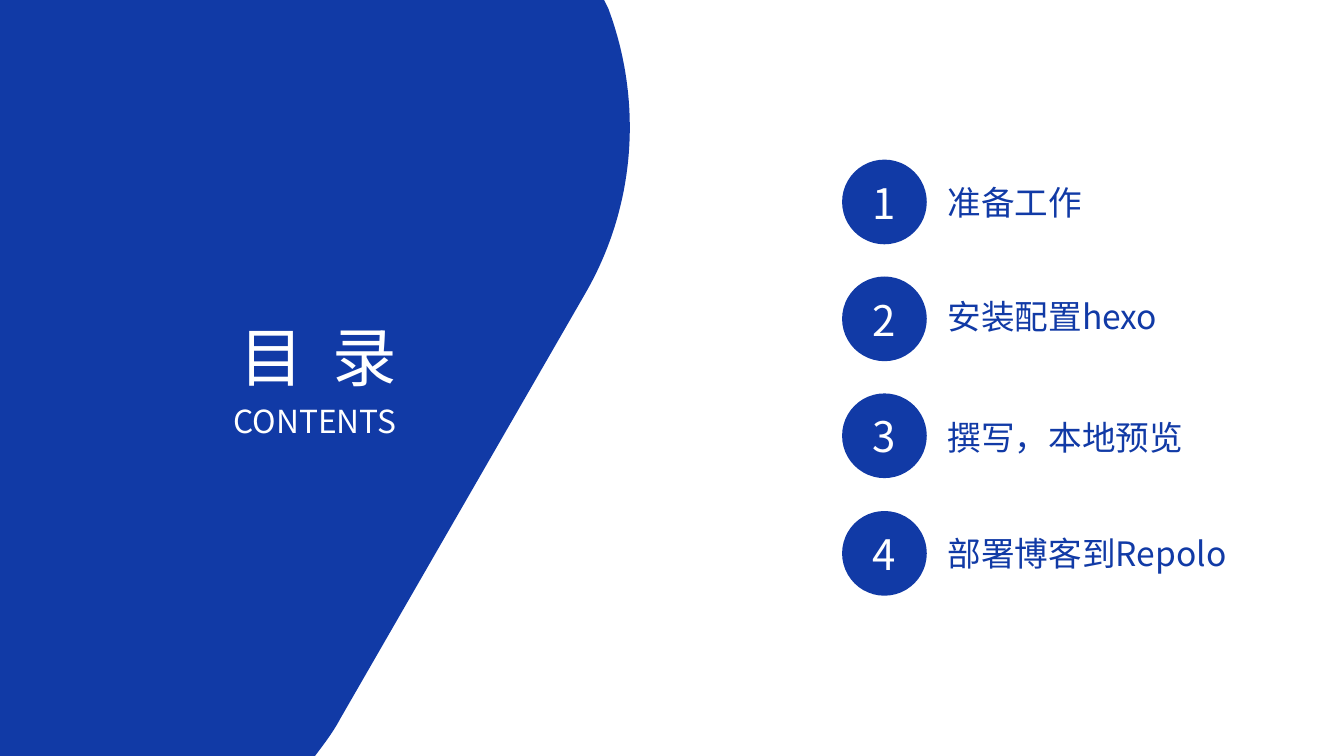
from dataclasses import dataclass

from lxml import etree
from pptx import Presentation
from pptx.dml.color import RGBColor
from pptx.enum.shapes import MSO_SHAPE
from pptx.enum.text import PP_ALIGN
from pptx.oxml.ns import qn
from pptx.shapes.autoshape import Shape
from pptx.slide import Slide
from pptx.util import Emu, Pt

OVAL = MSO_SHAPE.OVAL
LEFT, CENTER = PP_ALIGN.LEFT, PP_ALIGN.CENTER

EMU_PER_PX = 9525
SLIDE_WIDTH, SLIDE_HEIGHT = 1920, 1080
FONT = "Noto Sans CJK SC"
COLORS = {"blue": "113AA6", "white": "FFFFFF"}
LINE_HEIGHT = 1.2
CURVE_STEPS = 40

CIRCLE_LEFT, FIRST_CIRCLE_TOP, CIRCLE_SIZE = 1203, 228, 121
CIRCLES_SPAN = 502
NUMBER_INSET, NUMBER_DROP = 23, 25
ENTRY_LEFT = 1354

Point = tuple[float, float]


@dataclass(frozen=True)
class Caption:
    text: str
    left: int
    top: int
    width: int
    height: int
    size: int
    color: str
    align: PP_ALIGN = CENTER
    spacing: int = 0


@dataclass(frozen=True)
class Entry:
    title: str
    top: int


ENTRIES = [
    Entry("准备工作", 260),
    Entry("安装配置hexo", 423),
    Entry("撰写，本地预览", 595),
    Entry("部署博客到Repolo", 762),
]

HEADINGS = [
    Caption("CONTENTS", 274, 574, 352, 54, 34, "white"),
    Caption("目 录", 279, 453, 352, 109, 69, "white", spacing=770),
]


def px(length: float) -> Emu:
    return Emu(round(length * EMU_PER_PX))


def bezier(start: Point, pull_out: Point, pull_in: Point, end: Point) -> list[Point]:
    points = []
    for step in range(CURVE_STEPS + 1):
        t = step / CURVE_STEPS
        weights = ((1 - t) ** 3, 3 * t * (1 - t) ** 2, 3 * t * t * (1 - t), t ** 3)
        controls = (start, pull_out, pull_in, end)
        points.append((
            sum(w * x for w, (x, _) in zip(weights, controls)),
            sum(w * y for w, (_, y) in zip(weights, controls)),
        ))
    return points


def paint_blue(shape: Shape) -> None:
    shape.shadow.inherit = False
    shape.fill.solid()
    shape.fill.fore_color.rgb = RGBColor.from_string(COLORS["blue"])
    shape.line.fill.background()


def draw_panel(slide: Slide) -> None:
    outline = [
        (863, 0),
        *bezier((869, 12), (918, 143), (910, 294), (834, 423)),
        *bezier((486, 1027), (478, 1042), (468, 1056), (459, 1068)),
        (450, SLIDE_HEIGHT),
        (0, SLIDE_HEIGHT),
    ]
    builder = slide.shapes.build_freeform(0, 0)
    builder.add_line_segments([(px(x), px(y)) for x, y in outline], close=True)
    paint_blue(builder.convert_to_shape())


def draw_caption(slide: Slide, caption: Caption) -> None:
    box = slide.shapes.add_textbox(
        px(caption.left), px(caption.top), px(caption.width), px(caption.height)
    )
    frame = box.text_frame
    frame.margin_left = frame.margin_right = 0
    frame.margin_top = frame.margin_bottom = 0
    frame.word_wrap = True
    frame.text = caption.text
    paragraph = frame.paragraphs[0]
    paragraph.alignment = caption.align
    paragraph.line_spacing = Pt(caption.size * LINE_HEIGHT)
    run = paragraph.runs[0]
    run.font.size = Pt(caption.size)
    run.font.color.rgb = RGBColor.from_string(COLORS[caption.color])
    run.font.name = FONT
    properties = run.font._element
    etree.SubElement(properties, qn("a:ea")).set("typeface", FONT)
    if caption.spacing:
        properties.set("spc", str(caption.spacing))


def draw_entry(slide: Slide, index: int, entry: Entry) -> None:
    top = FIRST_CIRCLE_TOP + index * CIRCLES_SPAN // (len(ENTRIES) - 1)
    circle = slide.shapes.add_shape(
        OVAL, px(CIRCLE_LEFT), px(top), px(CIRCLE_SIZE), px(CIRCLE_SIZE)
    )
    paint_blue(circle)
    draw_caption(slide, Caption(
        str(index + 1), CIRCLE_LEFT + NUMBER_INSET, top + NUMBER_DROP, 74, 72, 45, "white"
    ))
    draw_caption(slide, Caption(
        entry.title, ENTRY_LEFT, entry.top, 424, 57, 36, "blue", LEFT
    ))


def main() -> None:
    presentation = Presentation()
    presentation.slide_width = px(SLIDE_WIDTH)
    presentation.slide_height = px(SLIDE_HEIGHT)
    slide = presentation.slides.add_slide(presentation.slide_layouts[6])
    draw_panel(slide)
    for index, entry in enumerate(ENTRIES):
        draw_entry(slide, index, entry)
    for heading in HEADINGS:
        draw_caption(slide, heading)
    presentation.save("out.pptx")


if __name__ == "__main__":
    main()
